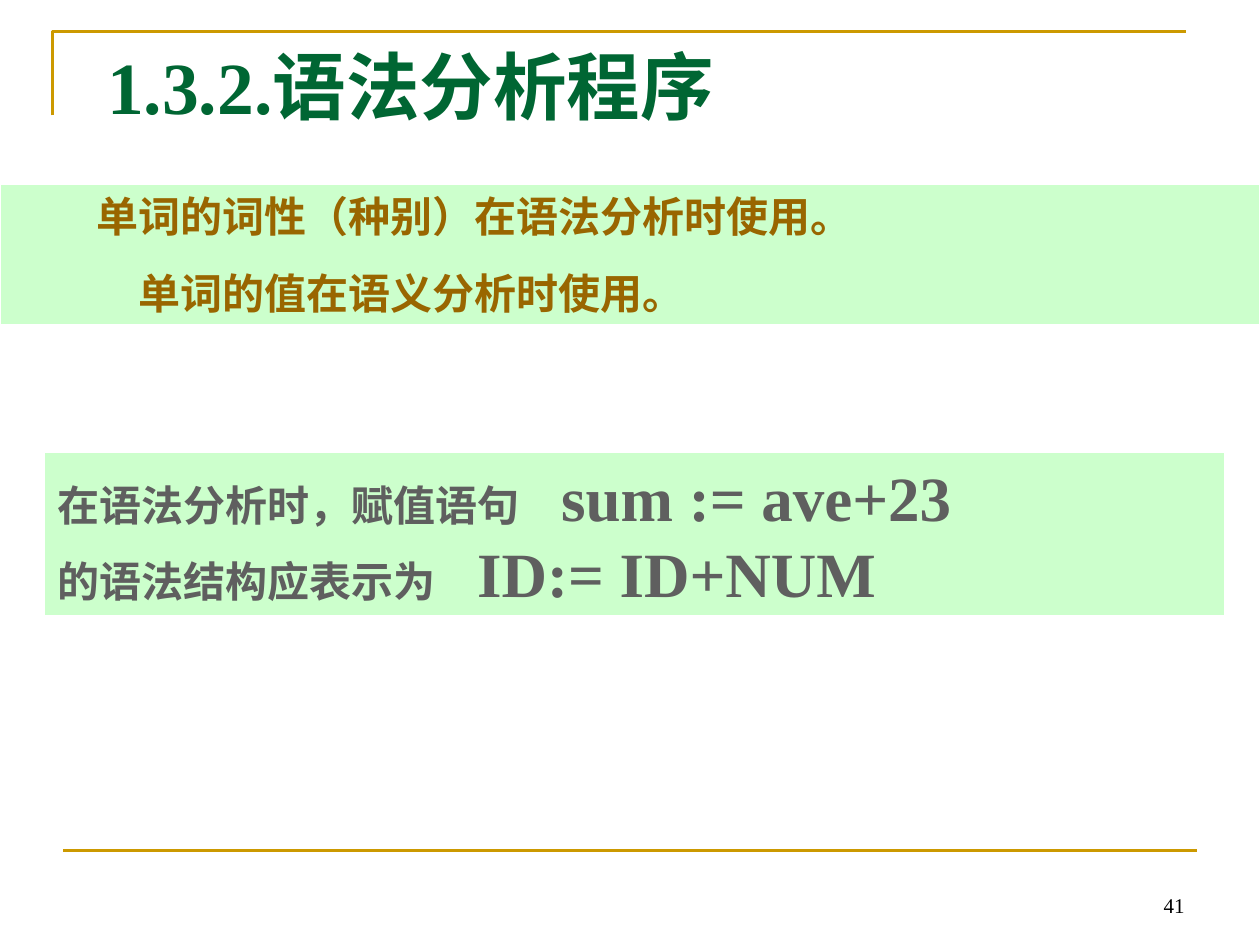
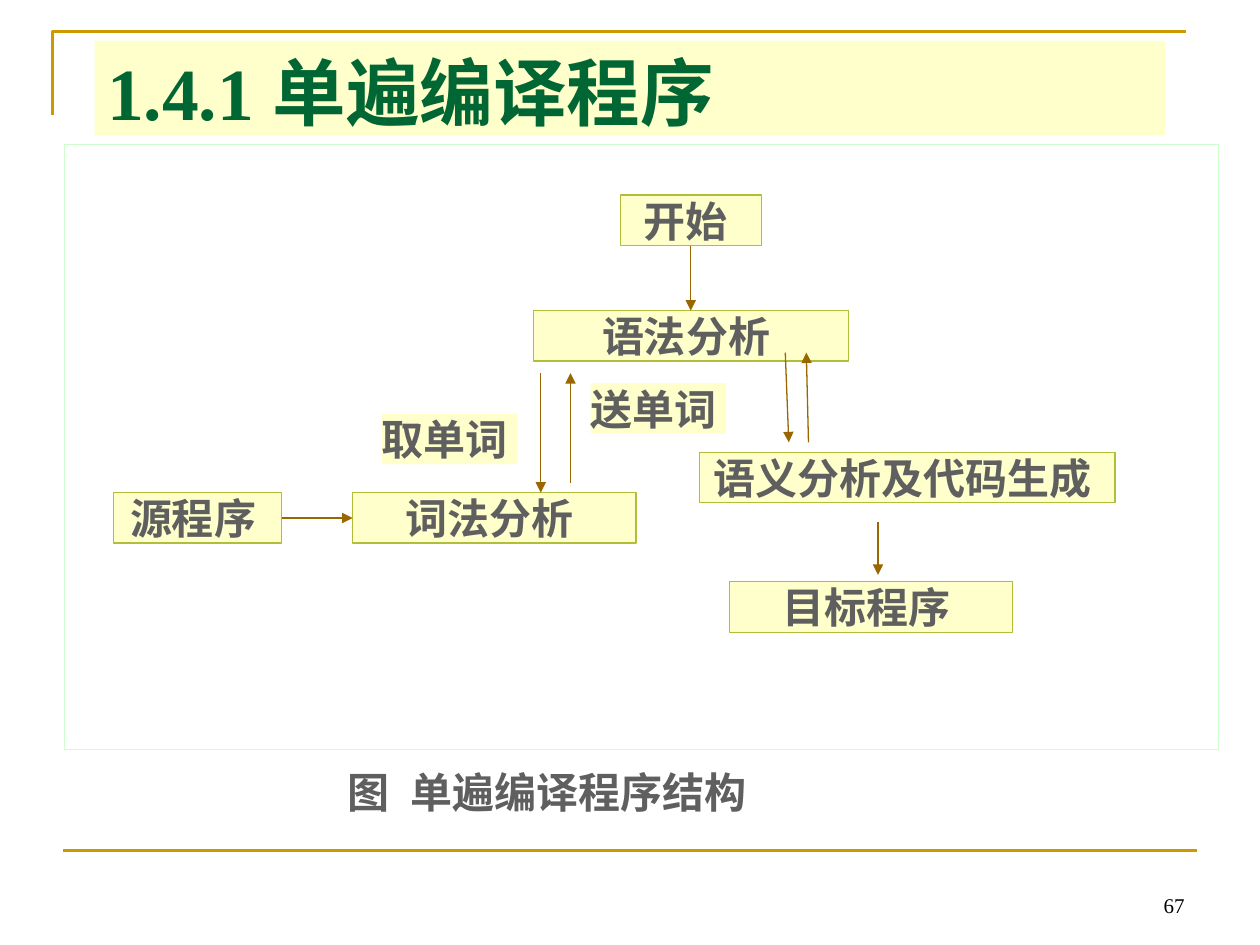
from pptx import Presentation
from pptx.util import Pt
from pptx.dml.color import RGBColor
from pptx.enum.shapes import MSO_SHAPE as Kind, MSO_CONNECTOR as Link
from pptx.enum.text import PP_ALIGN as Al, MSO_ANCHOR as Anchor, MSO_AUTO_SIZE as Auto
from pptx.oxml.ns import qn
from lxml.etree import SubElement

HUE = {"gold": "CC9900", "green": "006633", "brown": "996600", "grey": "5F5F5F",
       "mint": "CCFFCC", "cream": "FFFFCC", "olive": "AFBF39",
       "white": "FFFFFF", "black": "000000"}

BODY = {"size": 24, "bold": True, "hue": "grey"}
NOTE = {**BODY, "hue": "brown"}
CODE = {**BODY, "size": 36}
HEAD = {"size": 42, "bold": True, "hue": "green"}
PAGE = {"size": 12, "bold": False, "hue": "black"}

USES = [
    {"runs": [("单词的词性（种别）在语法分析时使用。", NOTE)], "left": 48},
    {"runs": [("单词的值在语义分析时使用。", NOTE)], "left": 72, "before": 15},
]
FORMS = [
    {"runs": [("在语法分析时，赋值语句　", BODY), ("sum := ave+23", CODE)]},
    {"runs": [("的语法结构应表示为　", BODY), ("ID:= ID+NUM", CODE)]},
]
CAPTION = [{"runs": [("\t图\t单遍编译程序结构", BODY)], "tabs": (54, 126)}]

STEPS = [
    ("词法分析", 201.5, 281.5, 162),
    ("源程序", 65, 281.5, 96),
    ("目标程序", 416.75, 332.5, 162),
    ("开始", 354.5, 111.5, 80.5),
    ("语法分析", 304.75, 177.5, 180),
    ("语义分析及代码生成", 399.75, 258.5, 237.5),
]
LABELS = [("取单词", 218.25, 236.5, 77.5), ("送单词", 337.5, 219, 77.5)]
TALL = 28.8

ARROWS = [
    (394.75, 140.3, 394.75, 177.5),
    (161, 296, 201.5, 296),
    (326, 275.75, 326, 213.25),
    (309, 213.25, 309, 281.5),
    (462, 252.75, 460.75, 201.5),
    (448.75, 201.5, 450.75, 252.75),
    (501.75, 298.25, 501.75, 328.5),
]


def tint(name):
    return RGBColor.from_string(HUE[name])


def fill_text(shape, paras, align=Al.LEFT, anchor=Anchor.TOP, pad=(7.2, 3.6)):
    frame = shape.text_frame
    look = {"word_wrap": True, "auto_size": Auto.NONE, "vertical_anchor": anchor,
            "margin_left": Pt(pad[0]), "margin_right": Pt(pad[0]),
            "margin_top": Pt(pad[1]), "margin_bottom": Pt(pad[1])}
    for key, val in look.items():
        setattr(frame, key, val)
    for i, item in enumerate(paras):
        para = frame.add_paragraph() if i else frame.paragraphs[0]
        para.alignment = align
        para.space_before = Pt(item.get("before", 0))
        props = para._p.get_or_add_pPr()
        props.set("marL", str(Pt(item.get("left", 0))))
        props.set("indent", "0")
        if "tabs" in item:
            stops = SubElement(props, qn("a:tabLst"))
            for pos in item["tabs"]:
                SubElement(stops, qn("a:tab"), pos=str(Pt(pos)), algn="l")
        for words, form in item["runs"]:
            run = para.add_run()
            run.text = words
            font = {"name": "Times New Roman", "size": Pt(form["size"]), "bold": form["bold"]}
            for key, val in font.items():
                setattr(run.font, key, val)
            run.font.color.rgb = tint(form["hue"])


def paint(shape, fill=None, edge=None, width=0.75):
    shape.shadow.inherit = False
    if fill:
        shape.fill.solid()
        shape.fill.fore_color.rgb = tint(fill)
    else:
        shape.fill.background()
    if edge:
        shape.line.color.rgb = tint(edge)
        shape.line.width = Pt(width)
    else:
        shape.line.fill.background()


def add_box(slide, spot, fill=None, edge=None):
    box = slide.shapes.add_shape(Kind.RECTANGLE, *map(Pt, spot))
    paint(box, fill, edge)
    return box


def add_line(slide, ends, hue, width, arrow=False):
    line = slide.shapes.add_connector(Link.STRAIGHT, *map(Pt, ends))
    line.line.color.rgb = tint(hue)
    line.line.width = Pt(width)
    if arrow:
        SubElement(line.line._get_or_add_ln(), qn("a:tailEnd"), type="triangle")
    SubElement(line._element.spPr, qn("a:effectLst"))


def add_page(deck, words, spot, number, fill=None):
    slide = deck.slides.add_slide(deck.slide_layouts[5])
    pen = slide.shapes.build_freeform(Pt(30), Pt(66))
    pen.add_line_segments([(Pt(30), Pt(18)), (Pt(678), Pt(18))], close=False)
    paint(pen.convert_to_shape(), edge="gold", width=1.5)
    add_line(slide, (36, 486, 684, 486), "gold", 1.5)
    title = slide.shapes.title
    for key, val in zip(("left", "top", "width", "height"), spot):
        setattr(title, key, Pt(val))
    if fill:
        title.fill.solid()
        title.fill.fore_color.rgb = tint(fill)
    fill_text(title, [{"runs": [(words, HEAD)]}])
    foot = slide.shapes.add_textbox(*map(Pt, (516, 492, 168, 36)))
    fill_text(foot, [{"runs": [(number, PAGE)]}], Al.RIGHT, Anchor.BOTTOM)
    return slide


def main():
    deck = Presentation()
    deck.slide_width, deck.slide_height = Pt(720), Pt(540)

    slide = add_page(deck, "1.3.2.语法分析程序", (54, 20, 612, 57), "41")
    for paras, spot in ((USES, (0, 105.5, 720, 80)), (FORMS, (25.5, 258.5, 674.5, 93.6))):
        fill_text(add_box(slide, spot, "mint", "white"), paras)

    slide = add_page(deck, "1.4.1 单遍编译程序", (54, 23.25, 612, 54), "67", "cream")
    add_box(slide, (36.75, 82.75, 659.5, 345.75), edge="mint")
    for group, edge in ((STEPS, "olive"), (LABELS, None)):
        for words, left, top, wide in group:
            box = add_box(slide, (left, top, wide, TALL), "cream", edge)
            fill_text(box, [{"runs": [(words + " ", BODY)]}], Al.CENTER, pad=(0, 0))
    for ends in ARROWS:
        add_line(slide, ends, "brown", 0.75, arrow=True)
    note = slide.shapes.add_textbox(*map(Pt, (155.5, 434.25, 390, 36)))
    fill_text(note, CAPTION)

    deck.save("out.pptx")


if __name__ == "__main__":
    main()
